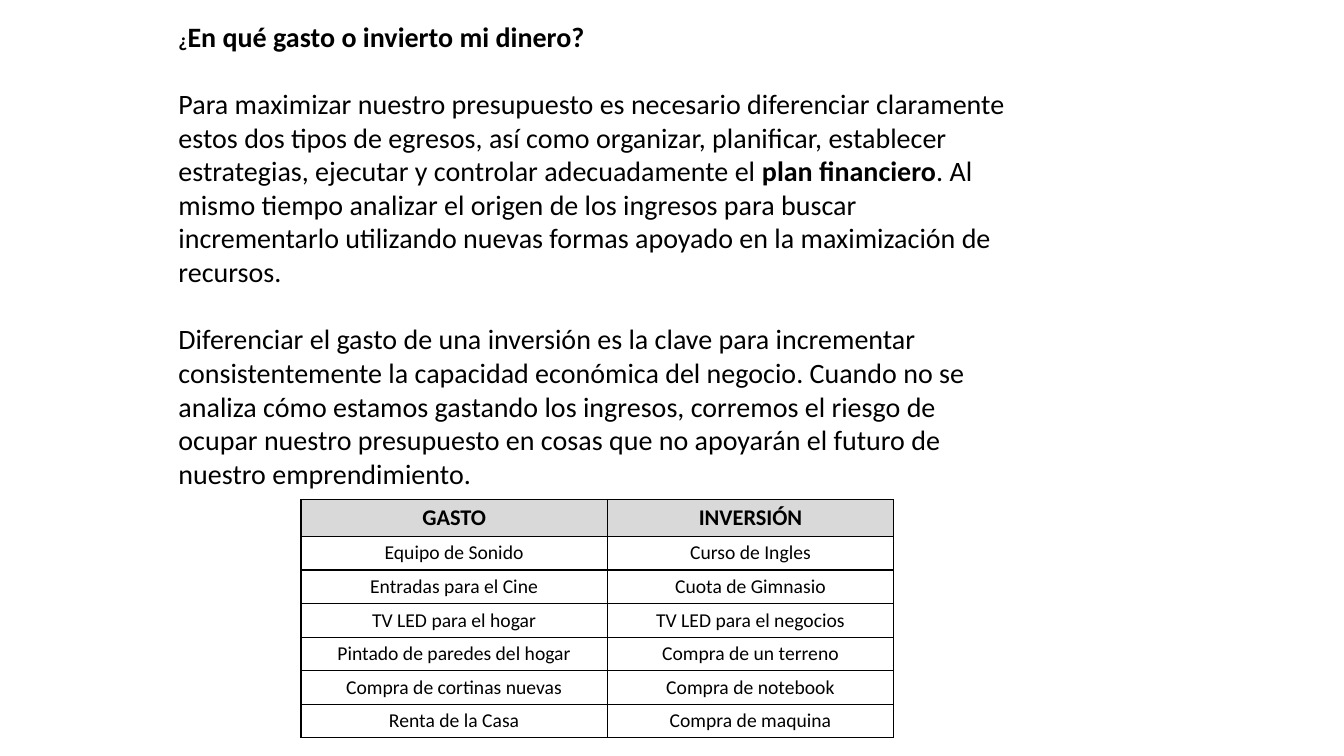
"""Build a slide comparing spending with investing."""
import pptx
import pptx.util
import pptx.dml.color
import pptx.enum.text
import lxml.etree
import pptx.oxml.ns

Pt = pptx.util.Pt
COLORS = {"text": "000000", "border": "000000", "header": "D9D9D9"}
FONT = "Calibri"


def style_font(font, size, bold=None):
    font.name = FONT
    font.size = Pt(size)
    font.bold = bold
    font.color.rgb = pptx.dml.color.RGBColor.from_string(COLORS["text"])


def add_borders(cell):
    properties = cell._tc.get_or_add_tcPr()
    qn = pptx.oxml.ns.qn
    for position, side in enumerate(("lnL", "lnR", "lnT", "lnB")):
        line = lxml.etree.Element(qn("a:" + side), w=str(Pt(1)))
        fill = lxml.etree.SubElement(line, qn("a:solidFill"))
        lxml.etree.SubElement(fill, qn("a:srgbClr"), val=COLORS["border"])
        properties.insert(position, line)


presentation = pptx.Presentation()
presentation.slide_width = Pt(960)
presentation.slide_height = Pt(540)
slide = presentation.slides.add_slide(presentation.slide_layouts[6])

paragraphs = [
    [("¿", 14, True), ("En qué gasto o invierto mi dinero?", 20, True)],
    [
        ("Para maximizar nuestro presupuesto es necesario diferenciar claramente "
         "estos dos tipos de egresos, así como organizar, planificar, establecer "
         "estrategias, ejecutar y controlar adecuadamente el ", 20, False),
        ("plan financiero", 20, True),
        (". Al mismo tiempo analizar el origen de los ingresos para buscar "
         "incrementarlo utilizando nuevas formas apoyado en la maximización de "
         "recursos.", 20, False),
    ],
    [
        ("Diferenciar el gasto de una inversión es la clave para incrementar "
         "consistentemente la capacidad económica del negocio. Cuando no se "
         "analiza cómo estamos gastando los ingresos, corremos el riesgo de "
         "ocupar nuestro presupuesto en cosas que no apoyarán el futuro de "
         "nuestro emprendimiento.", 20, False),
    ],
]
text_box = slide.shapes.add_textbox(Pt(120.4), Pt(10.2), Pt(613.4), Pt(346.3))
text_frame = text_box.text_frame
text_frame.word_wrap = True
for index, runs in enumerate(paragraphs):
    paragraph = text_frame.add_paragraph() if index else text_frame.paragraphs[0]
    if index:
        paragraph.space_before = Pt(24)
    for text, size, bold in runs:
        run = paragraph.add_run()
        run.text = text
        style_font(run.font, size, bold)

rows = [
    ("GASTO", "INVERSIÓN"),
    ("Equipo de Sonido", "Curso de Ingles"),
    ("Entradas para el Cine", "Cuota de Gimnasio"),
    ("TV LED para el hogar", "TV LED para el negocios"),
    ("Pintado de paredes del hogar", "Compra de un terreno"),
    ("Compra de cortinas nuevas", "Compra de notebook"),
    ("Renta de la Casa", "Compra de maquina"),
]
column_widths = (218.8, 204.6)
header_height, row_height = 26.4, 24
table = slide.shapes.add_table(
    len(rows), len(column_widths), Pt(215), Pt(356.8), Pt(sum(column_widths)),
    Pt(header_height + row_height * (len(rows) - 1))).table
table.horz_banding = False
for column, width in zip(table.columns, column_widths):
    column.width = Pt(width)
for row_index, texts in enumerate(rows):
    is_header = row_index == 0
    table.rows[row_index].height = Pt(header_height if is_header else row_height)
    for column_index, text in enumerate(texts):
        cell = table.cell(row_index, column_index)
        cell.text = text
        cell.margin_top = cell.margin_bottom = Pt(3)
        cell.vertical_anchor = pptx.enum.text.MSO_ANCHOR.MIDDLE
        if is_header:
            cell.fill.solid()
            cell.fill.fore_color.rgb = pptx.dml.color.RGBColor.from_string(COLORS["header"])
        else:
            cell.fill.background()
        add_borders(cell)
        paragraph = cell.text_frame.paragraphs[0]
        paragraph.alignment = pptx.enum.text.PP_ALIGN.CENTER
        style_font(paragraph.font, 16 if is_header else 14, is_header)

presentation.save("out.pptx")
